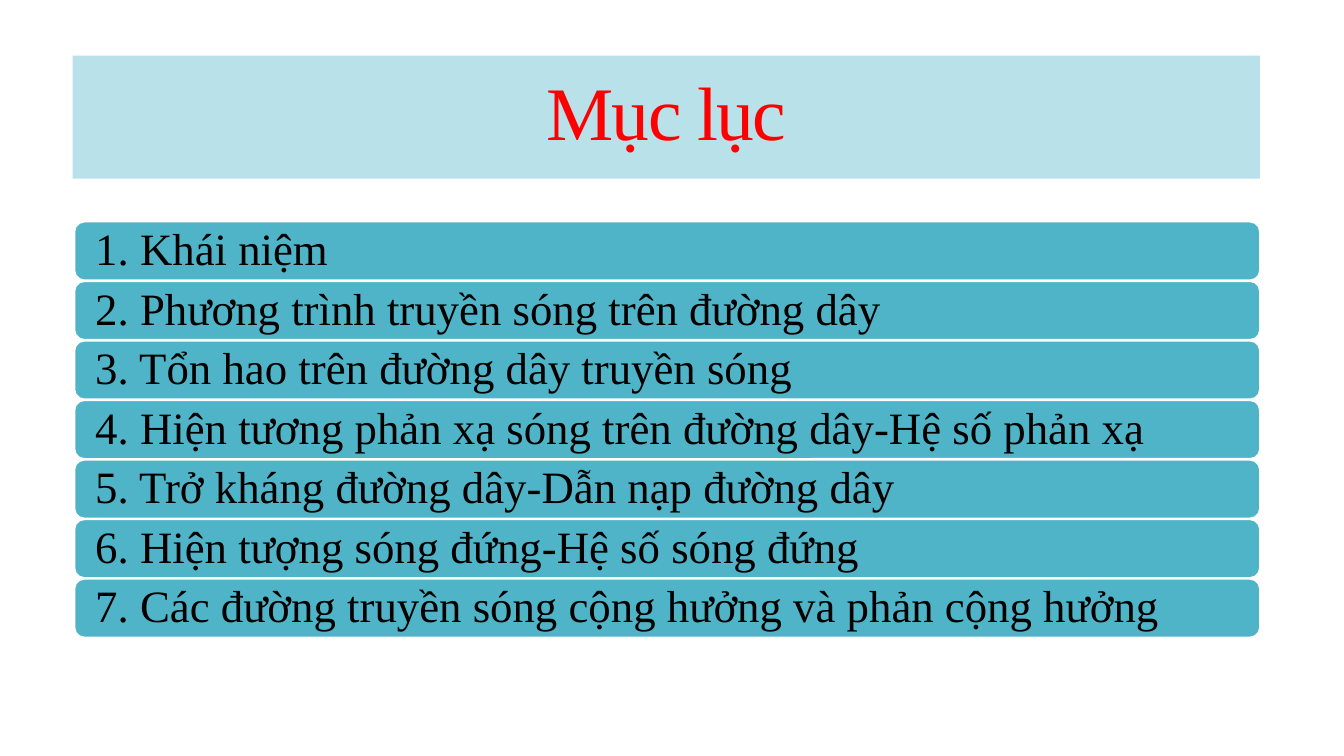
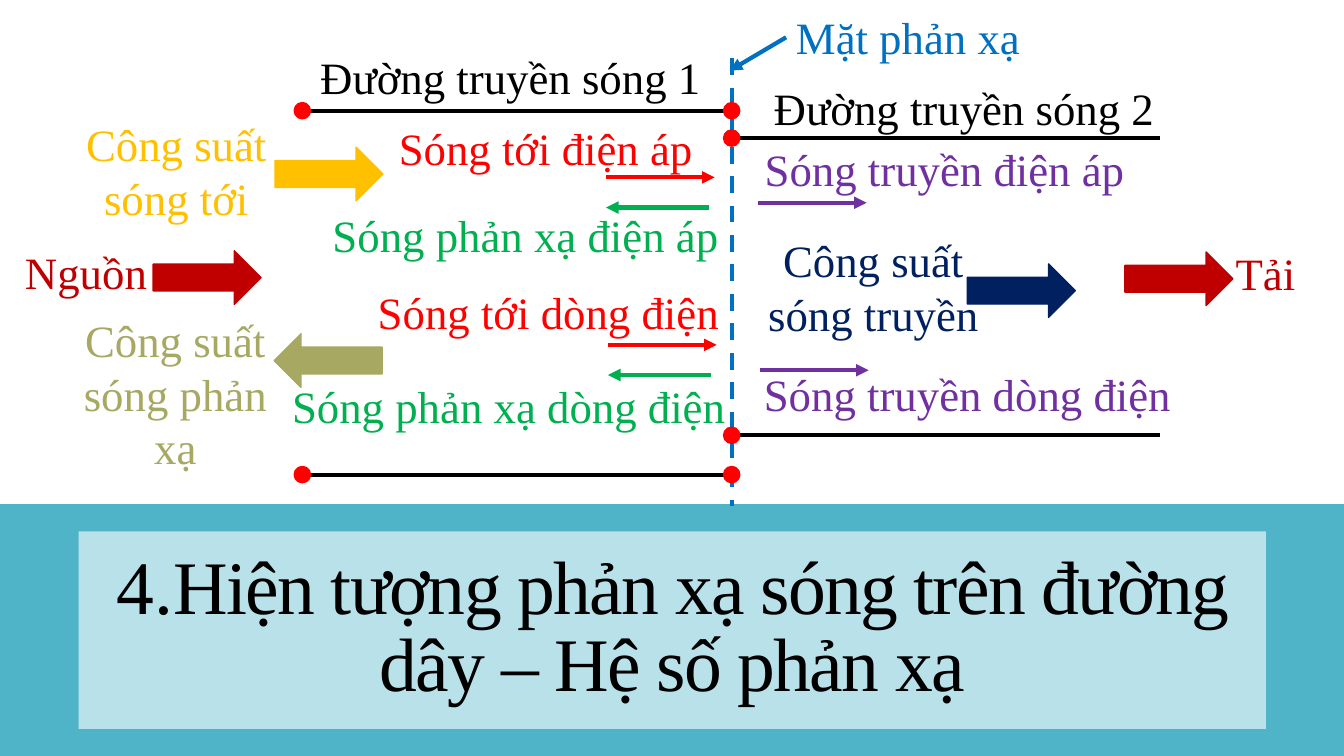
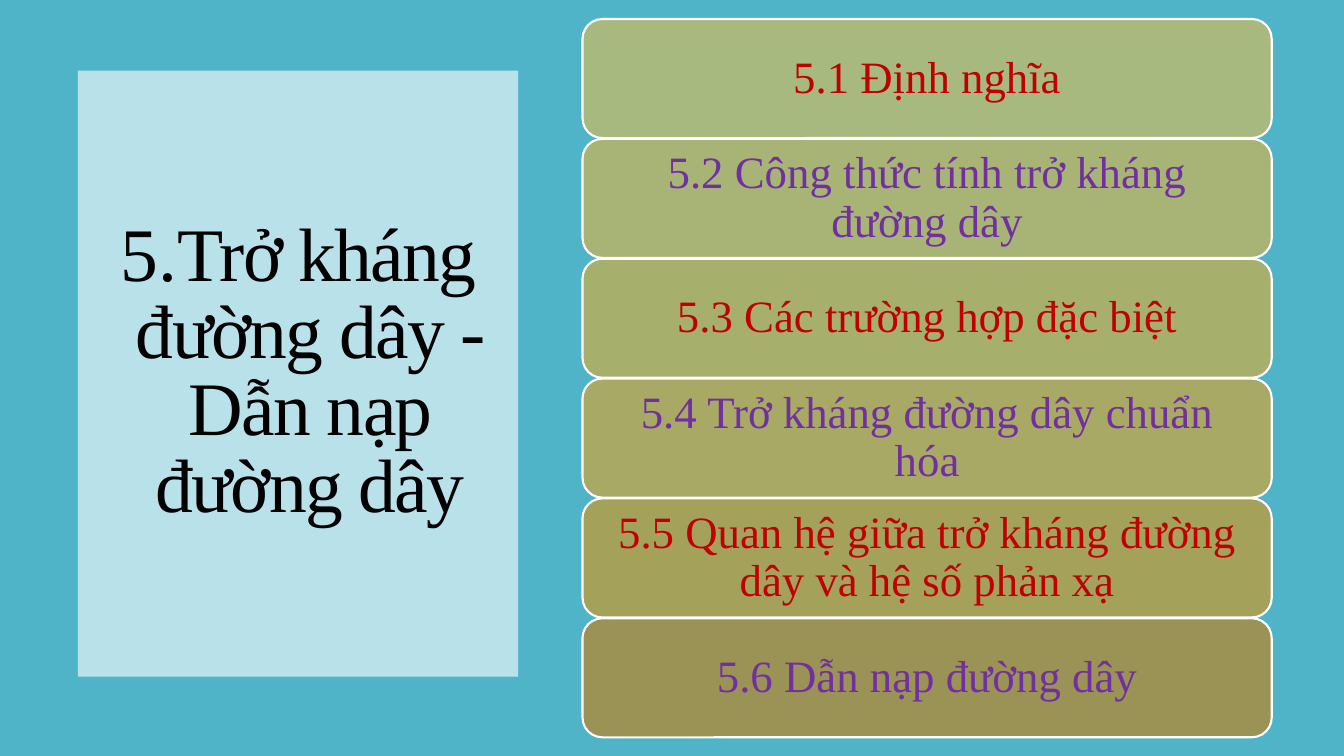
from lxml import etree
from pptx import Presentation
from pptx import util as u
from pptx.dml.color import RGBColor
from pptx.enum import dml, shapes, text
from pptx.oxml.ns import qn

FONT = "Times New Roman"
WHITE, BLACK, RED, CRIMSON = "FFFFFF", "000000", "FF0000", "C00000"
TEAL, PALE, BLUE, NAVY = "50B4C8", "B9E1E9", "0070C0", "002060"
PURPLE, GREEN, GOLD, OLIVE = "7030A0", "00B050", "FFC000", "A7A861"
KIND = shapes.MSO_SHAPE
MID, LEFT = text.PP_ALIGN.CENTER, text.PP_ALIGN.LEFT

TOPICS = [
    "1. Khái niệm",
    "2. Phương trình truyền sóng trên đường dây",
    "3. Tổn hao trên đường dây truyền sóng",
    "4. Hiện tương phản xạ sóng trên đường dây-Hệ số phản xạ",
    "5. Trở kháng đường dây-Dẫn nạp đường dây",
    "6. Hiện tượng sóng đứng-Hệ số sóng đứng",
    "7. Các đường truyền sóng cộng hưởng và phản cộng hưởng",
]
PARTS = [
    ("5.1 Định nghĩa", "A8B97F"),
    ("5.2 Công thức tính trở kháng đường dây", "A7B476"),
    ("5.3 Các trường hợp đặc biệt", "A7AF6D"),
    ("5.4 Trở kháng đường dây chuẩn hóa", "A7A964"),
    ("5.5 Quan hệ giữa trở kháng đường dây và hệ số phản xạ", "A4A15B"),
    ("5.6 Dẫn nạp đường dây", "9B9256"),
]
LABELS = [
    ("Đường truyền sóng 1", 7.82, 1.14, 10.19, BLACK),
    ("Đường truyền sóng 2", 19.25, 1.9, 10.19, BLACK),
    ("Mặt phản xạ", 19.81, 0.13, 6.22, BLUE),
    ("Nguồn", 0.38, 6.05, 3.61, CRIMSON),
    ("Tải", 30.89, 6.07, 2.03, CRIMSON),
    ("Sóng tới điện áp", 9.8, 2.92, 7.98, RED),
    ("Sóng truyền điện áp", 19.02, 3.45, 9.65, PURPLE),
    ("Sóng phản xạ điện áp", 8.13, 5.11, 10.34, GREEN),
    ("Sóng tới dòng điện", 9.27, 7.06, 9.19, RED),
    ("Sóng truyền dòng điện", 19, 9.12, 10.87, PURPLE),
    ("Sóng phản xạ dòng điện", 7.11, 9.42, 11.53, GREEN),
]
POWERS = [
    ("Công suất sóng truyền", 18.39, 5.74, 7.24, 3, NAVY),
    ("Công suất sóng tới", 0.94, 2.82, 7.01, 3, GOLD),
    ("Công suất sóng phản xạ", 1.32, 7.75, 6.2, 4.37, OLIVE),
]
BLOCKS = [
    (28.35, 6.35, CRIMSON, 0),
    (3.86, 6.32, CRIMSON, 0),
    (24.38, 6.65, NAVY, 0),
    (6.93, 3.71, GOLD, 0),
    (6.91, 8.41, OLIVE, 180),
]
WAVES = [
    (15.27, 18.01, 4.47, RED),
    (19.1, 21.84, 5.11, PURPLE),
    (17.88, 15.27, 5.23, GREEN),
]


def tint(color, code):
    """Set a colour from a hex string."""
    color.rgb = RGBColor.from_string(code)


def paint(fill, code):
    """Give a fill one solid colour."""
    fill.solid()
    tint(fill.fore_color, code)


def style(para, size, code, align, pitch=None):
    """Format a whole paragraph."""
    para.alignment = align
    para.line_spacing = pitch
    para.font.name = FONT
    para.font.size = u.Pt(size)
    tint(para.font.color, code)


def place(item, left, top, width, height):
    """Set the frame of an item in centimetres."""
    item.left, item.top = u.Cm(left), u.Cm(top)
    item.width, item.height = u.Cm(width), u.Cm(height)


def start(deck, back):
    """Add a title-only slide with a plain background."""
    slide = deck.slides.add_slide(deck.slide_layouts[5])
    paint(slide.background.fill, back)
    return slide


def title(slide, words, box, code=BLACK, number=None, hang=0):
    """Fill the title band, numbered if asked."""
    head = slide.shapes.title
    place(head, *box)
    paint(head.fill, PALE)
    frame = head.text_frame
    frame.text = words
    frame.word_wrap = True
    frame.auto_size = text.MSO_AUTO_SIZE.NONE
    frame.vertical_anchor = text.MSO_ANCHOR.MIDDLE
    para = frame.paragraphs[0]
    if number:
        props = para._p.get_or_add_pPr()
        props.set("marL", str(u.Cm(hang)))
        props.set("indent", str(-u.Cm(hang)))
        etree.SubElement(props, qn("a:buFont"), typeface="+mj-lt")
        etree.SubElement(props, qn("a:buAutoNum"), type="arabicPeriod", startAt=str(number))
    style(para, 54, code, MID, 0.85)
    para._p.pPr.find(qn("a:defRPr")).set("spc", "-120")


def shape(slide, kind, box, fill, edge=None, weight=1):
    """Add a filled preset shape."""
    item = slide.shapes.add_shape(kind, *map(u.Cm, box))
    item.shadow.inherit = False
    paint(item.fill, fill)
    if edge:
        tint(item.line.color, edge)
        item.line.width = u.Pt(weight)
    else:
        item.line.fill.background()
    return item


def card(slide, words, box, fill, code, align, weight):
    """Add a rounded card with text."""
    frame = shape(slide, KIND.ROUNDED_RECTANGLE, box, fill, WHITE, weight).text_frame
    frame.text = words
    frame.word_wrap = True
    frame.vertical_anchor = text.MSO_ANCHOR.MIDDLE
    frame.margin_left = frame.margin_right = u.Cm(0.45)
    frame.margin_top = frame.margin_bottom = 0
    style(frame.paragraphs[0], 32, code, align, 0.9)


def label(slide, words, box, code, wrap=False):
    """Add a text box, centred when it wraps."""
    frame = slide.shapes.add_textbox(*map(u.Cm, box)).text_frame
    frame.text = words
    frame.word_wrap = wrap
    frame.auto_size = text.MSO_AUTO_SIZE.SHAPE_TO_FIT_TEXT
    style(frame.paragraphs[0], 32, code, MID if wrap else LEFT)


def line(slide, ends, code, arrow=False, dash=False):
    """Draw a straight line, with an arrowhead or dashes if asked."""
    link = slide.shapes.add_connector(shapes.MSO_CONNECTOR.STRAIGHT, *map(u.Cm, ends))
    tint(link.line.color, code)
    link.line.width = u.Pt(3)
    if dash:
        link.line.dash_style = dml.MSO_LINE.DASH
    if arrow:
        etree.SubElement(link.line._get_or_add_ln(), qn("a:tailEnd"), type="triangle")
    etree.SubElement(link._element.spPr, qn("a:effectLst"))


def dot(slide, x, y, size=0.41):
    """Mark a terminal by its centre."""
    shape(slide, KIND.OVAL, (x - size / 2, y - size / 2, size, size), RED, RED)


def index(deck):
    """Build the table of contents."""
    slide = start(deck, WHITE)
    title(slide, "Mục lục", (1.83, 1.4, 29.92, 3.1), RED)
    for row, topic in enumerate(TOPICS):
        card(slide, topic, (1.88, 5.59 + 1.5 * row, 29.87, 1.47), TEAL, BLACK, LEFT, 1)


def waves(deck):
    """Build the diagram of wave reflection."""
    slide = start(deck, TEAL)
    title(slide, "Hiện tượng phản xạ sóng trên đường dây – Hệ số phản xạ",
          (1.98, 13.39, 29.92, 4.98), number=4)
    shape(slide, KIND.RECTANGLE, (0, 0, 33.87, 12.7), WHITE)
    near, wall, far = 7.62, 18.44, 29.24
    first, second = (2.79, 11.96), (3.48, 10.97)
    for y in first:
        line(slide, (near, y, wall, y), BLACK)
    for y in second:
        line(slide, (wall, y, far, y), BLACK)
    line(slide, (wall, 1.47, wall, 12.75), BLUE, dash=True)
    for y in first:
        dot(slide, near, y)
    for y in first + second:
        dot(slide, wall, y)
    line(slide, (19.81, 0.94, 18.39, 1.78), BLUE, arrow=True)
    for right, down in ((0, 0), (0.05, 4.22)):
        for tail, tip, y, code in WAVES:
            line(slide, (tail + right, y + down, tip + right, y + down), code, arrow=True)
    for words, x, y, width, code in LABELS:
        label(slide, words, (x, y, width, 1.63), code)
    for x, y, code, turn in BLOCKS:
        shape(slide, KIND.RIGHT_ARROW, (x, y, 2.72, 1.35), code, code).rotation = turn
    for words, *box, code in POWERS:
        label(slide, words, box, code, wrap=True)


def parts(deck):
    """Build the outline of section five."""
    slide = start(deck, TEAL)
    title(slide, "Trở kháng đường dây - Dẫn nạp đường dây",
          (1.96, 1.78, 11.1, 15.27), number=5, hang=0.6)
    for row, (words, fill) in enumerate(PARTS):
        code = PURPLE if row % 2 else CRIMSON
        card(slide, words, (14.68, 0.48 + 3.02 * row, 17.37, 3), fill, code, MID, 1.5)


def main():
    """Build and save the slides."""
    deck = Presentation()
    deck.slide_width, deck.slide_height = u.Cm(33.87), u.Cm(19.05)
    index(deck)
    waves(deck)
    parts(deck)
    deck.save("out.pptx")


if __name__ == "__main__":
    main()
